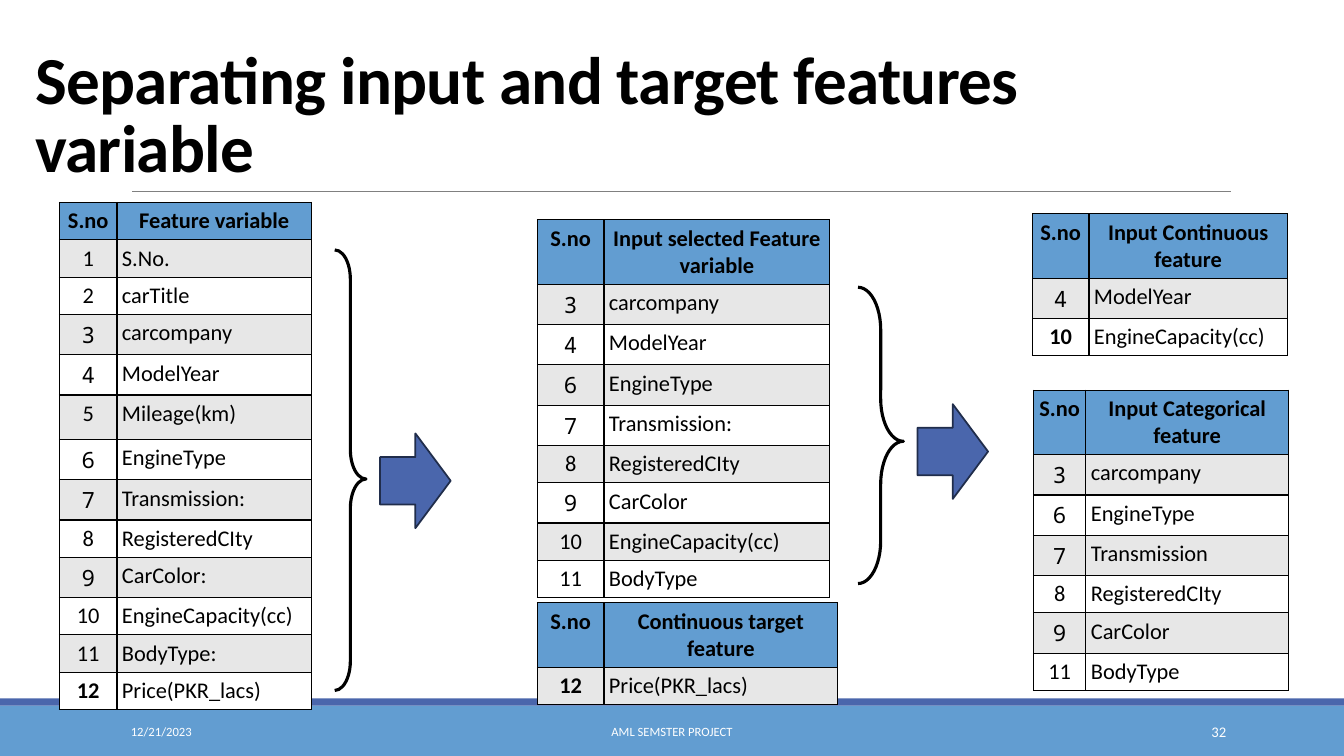
import dataclasses

import lxml.etree
import pptx
import pptx.dml.color
import pptx.enum.shapes
import pptx.enum.text
import pptx.oxml.ns
import pptx.util

Inches = pptx.util.Inches
Pt = pptx.util.Pt
SHAPE = pptx.enum.shapes.MSO_SHAPE
ANCHOR = pptx.enum.text.MSO_ANCHOR
ALIGN = pptx.enum.text.PP_ALIGN


@dataclasses.dataclass(frozen=True)
class Theme:
    """Colours, fonts and type sizes of the deck."""
    blue: str = "629DD1"
    navy: str = "4A66AC"
    navy_edge: str = "202D4B"
    band: str = "E7E7E7"
    white: str = "FFFFFF"
    black: str = "000000"
    rule: str = "808080"
    font: str = "Calibri"
    mono: str = "Noto Sans Mono"
    title: float = 48
    table: float = 16
    footer: float = 9
    number: float = 10.5


THEME = Theme()
MONO_NUMBERS = {"3", "4", "6", "7", "9"}

ALL_FEATURES = [
    ("1", "S.No."), ("2", "carTitle"), ("3", "carcompany"),
    ("4", "ModelYear"), ("5", "Mileage(km)"), ("6", "EngineType"),
    ("7", "Transmission:"), ("8", "RegisteredCIty"), ("9", "CarColor:"),
    ("10", "EngineCapacity(cc)"), ("11", "BodyType:"), ("12", "Price(PKR_lacs)")]
SELECTED = [
    ("3", "carcompany"), ("4", "ModelYear"), ("6", "EngineType"),
    ("7", "Transmission:"), ("8", "RegisteredCIty"), ("9", "CarColor"),
    ("10", "EngineCapacity(cc)"), ("11", "BodyType")]
CATEGORICAL = [
    ("3", "carcompany"), ("6", "EngineType"), ("7", "Transmission"),
    ("8", "RegisteredCIty"), ("9", "CarColor"), ("11", "BodyType")]
CONTINUOUS = [("4", "ModelYear"), ("10", "EngineCapacity(cc)")]
TARGET = [("12", "Price(PKR_lacs)")]


def rgb(value):
    """Turn a hex string into a colour."""
    return pptx.dml.color.RGBColor.from_string(value)


def add_run(p, text, size, color, bold=False, font=THEME.font):
    """Add one formatted run to a paragraph."""
    r = p.add_run()
    r.text = text
    r.font.size = Pt(size)
    r.font.name = font
    r.font.bold = bold
    r.font.color.rgb = rgb(color)
    return r


def add_shape(s, kind, box, fill=None, line=None, width=1.0, adjustments=()):
    """Add a preset shape in the given box."""
    sp = s.shapes.add_shape(kind, *map(Inches, box))
    sp.shadow.inherit = False
    for i, value in enumerate(adjustments):
        sp.adjustments[i] = value
    if fill:
        sp.fill.solid()
        sp.fill.fore_color.rgb = rgb(fill)
    else:
        sp.fill.background()
    if line:
        sp.line.color.rgb = rgb(line)
        sp.line.width = Pt(width)
    else:
        sp.line.fill.background()


def add_title(s, box, text):
    """Place the title and the rule below it."""
    left, top, width, height = box
    sp = s.shapes.title
    sp.left, sp.top, sp.width, sp.height = map(Inches, box)
    tf = sp.text_frame
    tf.word_wrap = True
    tf.auto_size = pptx.enum.text.MSO_AUTO_SIZE.NONE
    tf.vertical_anchor = ANCHOR.BOTTOM
    p = tf.paragraphs[0]
    p.alignment = ALIGN.LEFT
    p.line_spacing = 0.85
    r = add_run(p, text, THEME.title, THEME.black, bold=True)
    r.font._element.set("spc", "-50")
    y = Inches(top + height)
    rule = s.shapes.add_connector(
        pptx.enum.shapes.MSO_CONNECTOR.STRAIGHT,
        Inches(left + 1.06), y, Inches(left + 11.96), y)
    rule.line.color.rgb = rgb(THEME.rule)
    rule.line.width = Pt(0.5)
    lxml.etree.SubElement(rule._element.spPr, pptx.oxml.ns.qn("a:effectLst"))


def add_footer(s, box):
    """Draw the footer band with date, project name and slide number."""
    left, top, width, height = box
    add_shape(s, SHAPE.RECTANGLE, box, THEME.blue)
    add_shape(s, SHAPE.RECTANGLE, (left, top - 0.07, width, 0.07), THEME.navy)
    for x, w, text, size, align in (
            (1.2, 2.7, "12/21/2023", THEME.footer, ALIGN.LEFT),
            (4.03, 5.27, "AML SEMSTER PROJECT", THEME.footer, ALIGN.CENTER),
            (10.83, 1.43, "32", THEME.number, ALIGN.RIGHT)):
        sp = s.shapes.add_textbox(
            Inches(left + x), Inches(top + 0.06), Inches(w), Inches(0.4))
        tf = sp.text_frame
        tf.word_wrap = True
        tf.vertical_anchor = ANCHOR.MIDDLE
        p = tf.paragraphs[0]
        p.alignment = align
        add_run(p, text, size, THEME.white)


def border_cell(cell):
    """Give a cell thin black borders on all sides."""
    props = cell._tc.get_or_add_tcPr()
    for side in ("lnL", "lnR", "lnT", "lnB"):
        ln = lxml.etree.SubElement(props, pptx.oxml.ns.qn("a:" + side), w=str(Pt(1)))
        fill = lxml.etree.SubElement(ln, pptx.oxml.ns.qn("a:solidFill"))
        lxml.etree.SubElement(fill, pptx.oxml.ns.qn("a:srgbClr"), val=THEME.black)


def row_height(number):
    """Return the height of a body row in inches."""
    if number == "5":
        return 0.44
    return 0.4 if number in MONO_NUMBERS else 0.37


def add_features(s, box, heading, features, header_height=0.64, bold=None):
    """Draw a numbered feature table; box is left, top and column widths."""
    left, top, *widths = box
    rows = [("S.no", heading), *features]
    heights = [header_height] + [row_height(number) for number, _ in features]
    frame = s.shapes.add_table(
        len(rows), 2, Inches(left), Inches(top),
        Inches(sum(widths)), Inches(sum(heights)))
    table = frame.table
    table.first_row = table.horz_banding = False
    for column, width in zip(table.columns, widths):
        column.width = Inches(width)
    for i, row in enumerate(rows):
        table.rows[i].height = Inches(heights[i])
        fill = THEME.blue if i == 0 else THEME.band if i % 2 else THEME.white
        for j, text in enumerate(row):
            cell = table.cell(i, j)
            border_cell(cell)
            cell.fill.solid()
            cell.fill.fore_color.rgb = rgb(fill)
            cell.margin_left = cell.margin_right = Inches(0.05)
            cell.margin_top = cell.margin_bottom = Inches(0.05)
            p = cell.text_frame.paragraphs[0]
            p.alignment = ALIGN.CENTER if i == 0 or j == 0 else ALIGN.LEFT
            font = THEME.mono if text in MONO_NUMBERS else THEME.font
            add_run(p, text, THEME.table, THEME.black, i == 0 or text == bold, font)


def add_step(s, brace, arrow):
    """Draw a closing brace and the arrow that leads to the next tables."""
    add_shape(s, SHAPE.RIGHT_BRACE, brace, None, THEME.black, 2.25, (0.94, 0.52))
    add_shape(s, SHAPE.RIGHT_ARROW, (*arrow, 0.7, 0.94),
              THEME.navy, THEME.navy_edge, 1.25)


def main():
    """Build and save the slide."""
    prs = pptx.Presentation()
    prs.slide_width, prs.slide_height = Inches(13.33), Inches(7.5)
    s = prs.slides.add_slide(prs.slide_layouts[5])
    add_footer(s, (0, 7, 13.33, 0.5))
    add_title(s, (0.25, 0.31, 11.61, 1.59),
              "Separating input and target features variable")
    add_features(s, (0.59, 2.01, 0.57, 1.93), "Feature variable",
                 ALL_FEATURES, 0.37, bold="12")
    add_features(s, (10.25, 3.87, 0.52, 2.01), "Input Categorical feature", CATEGORICAL)
    add_features(s, (10.24, 2.12, 0.56, 1.97), "Input Continuous feature",
                 CONTINUOUS, bold="10")
    add_features(s, (5.33, 5.98, 0.66, 2.32), "Continuous target feature",
                 TARGET, bold="12")
    add_step(s, (3.32, 2.48, 0.31, 4.37), (3.77, 4.3))
    add_step(s, (8.51, 2.85, 0.45, 2.94), (9.1, 4.01))
    add_features(s, (5.33, 2.18, 0.66, 2.24), "Input selected Feature variable", SELECTED)
    prs.save("out.pptx")


if __name__ == "__main__":
    main()
